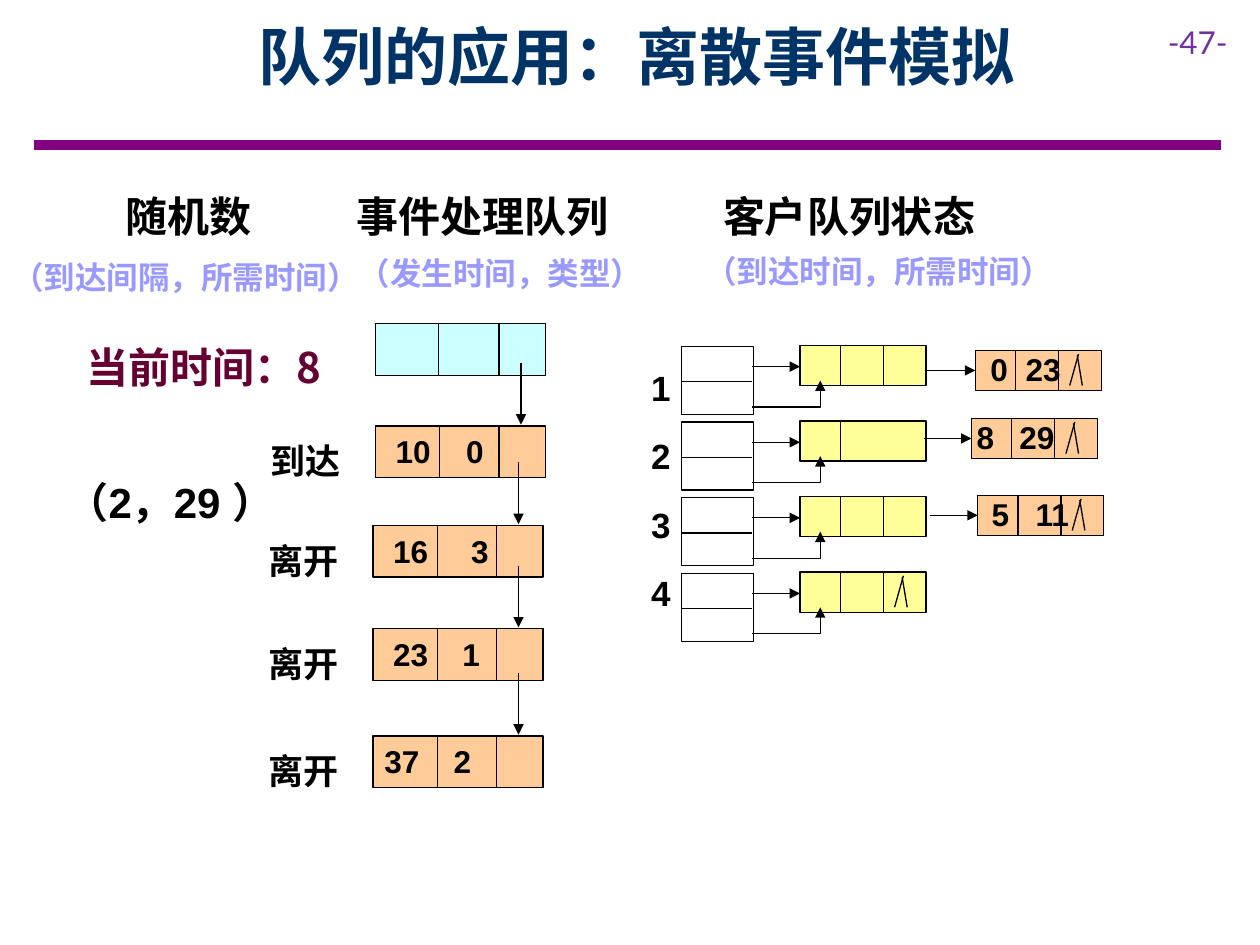
"""Build a slide on discrete event simulation with queues."""
from dataclasses import dataclass

from lxml import etree
from pptx import Presentation, util as u
from pptx.dml import color
from pptx.enum import shapes, text
from pptx.oxml import ns


@dataclass(frozen=True)
class Theme:
    """Colours, fonts and sizes; one grid step is a hundredth of the slide width."""
    ink: str = "000000"
    title: str = "003366"
    rule: str = "800080"
    number: str = "7030A0"
    hint: str = "9999FF"
    clock: str = "660033"
    header: str = "CCFFFF"
    queue: str = "FFFF99"
    item: str = "FFCC99"
    latin: str = "Arial"
    cjk: str = "Noto Sans CJK SC"
    page: str = "Lato"
    title_size: int = 36
    head_size: int = 24
    label_size: int = 20
    body_size: int = 18
    thin: float = 0.75
    thick: int = 6
    columns: int = 100
    rows: int = 75


THEME = Theme()
SIZE = u.Inches(10), u.Inches(7.5)


def grid(*steps):
    """Turn alternating column and row counts into lengths."""
    units = SIZE[0] / THEME.columns, SIZE[1] / THEME.rows
    return [int(step * units[place % 2]) for place, step in enumerate(steps)]


def rgb(value):
    """Return a colour from its hex code."""
    return color.RGBColor.from_string(value)


def write(shape, lines, size, ink=THEME.ink, font=THEME.latin, bold=True,
          inset=1, tabs=(), gap=0, align=text.PP_ALIGN.LEFT):
    """Write lines into a shape, with tab stops measured in columns."""
    frame = shape.text_frame
    frame.word_wrap = True
    frame.vertical_anchor = text.MSO_ANCHOR.TOP
    frame.margin_left = grid(inset)[0]
    frame.text = "\n".join(lines)
    for place, para in enumerate(frame.paragraphs):
        para.alignment = align
        if place:
            para.space_before = u.Pt(gap)
        if tabs:
            stops = etree.SubElement(para._p.get_or_add_pPr(), ns.qn("a:tabLst"))
            for stop in tabs:
                etree.SubElement(stops, ns.qn("a:tab"), pos=str(grid(stop)[0]), algn="l")
        for span in para.runs:
            span.font.size = u.Pt(size)
            span.font.bold = bold
            span.font.color.rgb = rgb(ink)
            span.font.name = font
            etree.SubElement(span.font._element, ns.qn("a:ea"), typeface=THEME.cjk)


def label(page, place, lines, size, **style):
    """Add a text box at a grid place."""
    box = page.shapes.add_textbox(*grid(*place))
    write(box, lines, size, **style)


def outline(shape, ink=THEME.ink, width=THEME.thin, arrow=False):
    """Style a line and optionally end it with an arrowhead."""
    shape.line.color.rgb = rgb(ink)
    shape.line.width = u.Pt(width)
    if arrow:
        etree.SubElement(shape._element.spPr.find(ns.qn("a:ln")), ns.qn("a:tailEnd"), type="triangle")


def stroke(page, ends, **style):
    """Add a straight line between two grid points."""
    line = page.shapes.add_connector(shapes.MSO_CONNECTOR.STRAIGHT, *grid(*ends))
    outline(line, **style)
    etree.SubElement(line._element.spPr, ns.qn("a:effectLst"))


def block(page, place, fill=None, dividers=()):
    """Add a rectangle split by upright dividers."""
    left, top, _, height = place
    box = page.shapes.add_shape(shapes.MSO_SHAPE.RECTANGLE, *grid(*place))
    box.shadow.inherit = False
    if fill:
        box.fill.solid()
        box.fill.fore_color.rgb = rgb(fill)
    else:
        box.fill.background()
    outline(box)
    for offset in dividers:
        stroke(page, (left + offset, top, left + offset, top + height))
    return box


def end_mark(page, left, top):
    """Draw the two strokes that mark an empty pointer."""
    stroke(page, (left + 7.5, top + 2.8, left + 8.2, top + 0.3))
    stroke(page, (left + 8.1, top + 0.4, left + 8.5, top + 2.8))


def event(page, left, top, kind, values, inset, tab):
    """Draw an event node with its label and incoming arrow."""
    box = block(page, (left, top, 13.5, 4.1), THEME.item, (5.1, 9.8))
    write(box, ["\t".join(values)], THEME.body_size, inset=inset, tabs=[tab])
    stroke(page, (left + 11.55, top - 5, left + 11.55, top - 0.1), arrow=True)
    label(page, (left - 9.3, top + 0.6, 11.2, 4.3), [kind], THEME.label_size, font=THEME.cjk)


def queue(page, top, dividers):
    """Draw a queue's two pointers and its head node."""
    block(page, (54.1, top + 0.1, 5.7, 5.4))
    stroke(page, (54.1, top + 2.9, 59.7, top + 2.9))
    block(page, (63.5, top, 10, 3.2), THEME.queue, dividers)
    stroke(page, (59.7, top + 1.7, 63.5, top + 1.7), arrow=True)
    start, corner, tip = (grid(*point) for point in (
        (59.7, top + 4.9), (65.1, top + 4.9), (65.1, top + 2.8)))
    builder = page.shapes.build_freeform(*start)
    builder.add_line_segments([corner, tip], close=False)
    elbow = builder.convert_to_shape()
    elbow.shadow.inherit = False
    elbow.fill.background()
    outline(elbow, arrow=True)


def customer(page, left, top, values, inset, tab):
    """Draw a waiting customer with its incoming arrow."""
    block(page, (left, top, 10, 3.2), THEME.item, (3.2, 6.6))
    stroke(page, (left - 3.8, top + 1.6, left, top + 1.6), arrow=True)
    end_mark(page, left, top)
    label(page, (left - 1.1, top - 0.5, 10.8, 4), ["\t".join(values)],
          THEME.body_size, inset=inset, tabs=[tab])


def main():
    """Build and save the slide."""
    deck = Presentation()
    deck.slide_width, deck.slide_height = SIZE
    page = deck.slides.add_slide(deck.slide_layouts[6])

    stroke(page, (2.7, 11.5, 96.9, 11.5), ink=THEME.rule, width=THEME.thick)
    label(page, (91.7, 1.3, 8.3, 4), ["-47-"], THEME.body_size,
          ink=THEME.number, font=THEME.page, bold=False)
    label(page, (9, 0.9, 83.1, 10), ["队列的应用：离散事件模拟"], THEME.title_size,
          ink=THEME.title, font=THEME.cjk, align=text.PP_ALIGN.CENTER)
    label(page, (9, 14.6, 77.4, 5), ["随机数\t事件处理队列\t客户队列状态"],
          THEME.head_size, tabs=[18.3, 47.4])
    for left, top, width, hint in ((0, 20, 30.6, "（到达间隔，所需时间）"),
                                   (27.5, 19.7, 25, "（发生时间，类型）"),
                                   (55, 19.5, 30.4, "（到达时间，所需时间）")):
        label(page, (left, top, width, 4), [hint], THEME.body_size, ink=THEME.hint)
    label(page, (5.9, 26.6, 24.8, 5), ["当前时间：8"], THEME.head_size,
          ink=THEME.clock, font=THEME.cjk)
    label(page, (4.3, 37.3, 19.7, 5), ["（2，29 ）"], THEME.head_size)

    block(page, (29.8, 25.7, 13.5, 4.1), THEME.header, (5, 9.8))
    for node in ((29.8, 33.8, "到达", ("10", "0"), 1.6, 5.6),
                 (29.6, 41.7, "离开", ("16", "3"), 1.6, 6.2),
                 (29.6, 49.9, "离开", ("23", "1"), 1.6, 5.5),
                 (29.6, 58.4, "离开", ("37", "2"), 0.9, 5.5)):
        event(page, *node)

    for row, dividers in enumerate(((3.2, 6.6), (3.2,), (3.2, 6.6), (3.2, 6.6))):
        queue(page, 27.4 + 6 * row, dividers)
    end_mark(page, 63.5, 45.4)
    label(page, (50.7, 28.6, 4.8, 21.3), ["1", "2", "3", "4"], THEME.label_size, gap=15)
    for node in ((77.4, 27.8, ("0", "23"), 2.3, 2.8),
                 (77.1, 33.2, ("8", "29"), 1.5, 3.4),
                 (77.6, 39.3, ("5", "11"), 2.2, 3.5)):
        customer(page, *node)
    deck.save("out.pptx")


if __name__ == "__main__":
    main()
